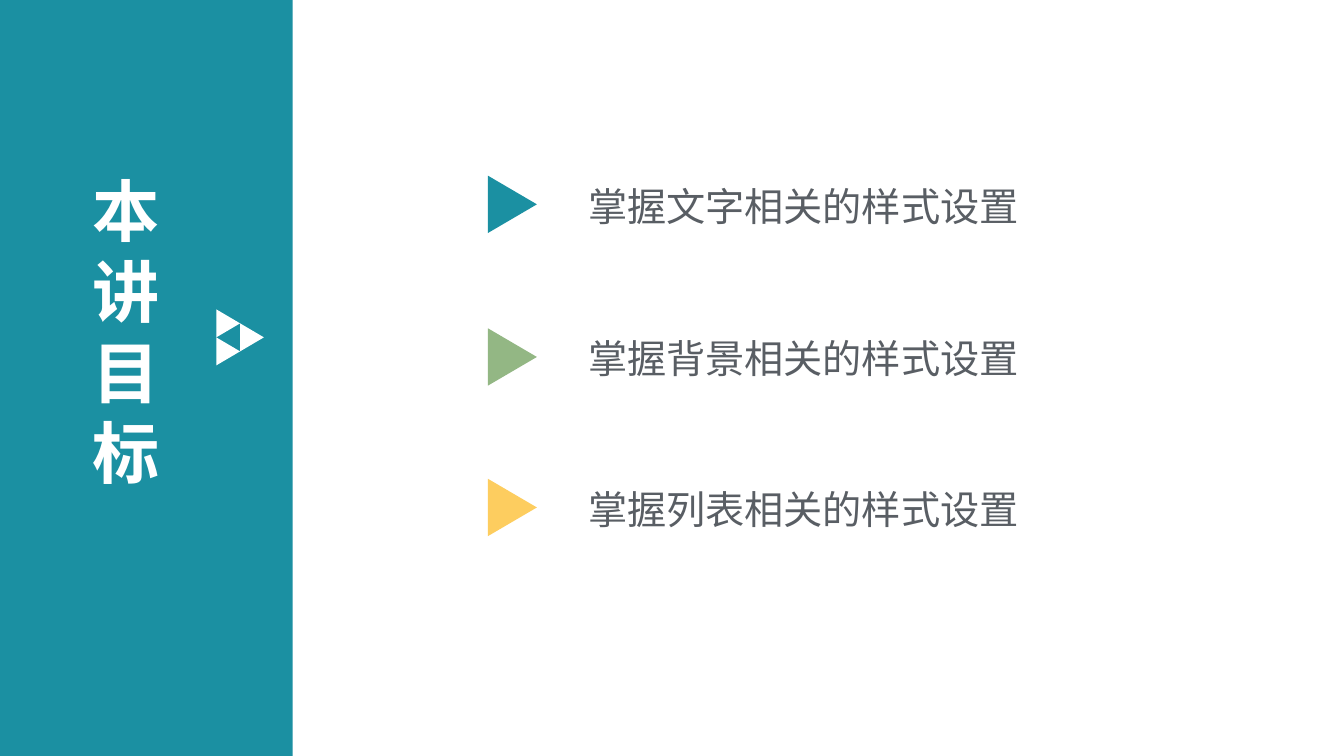
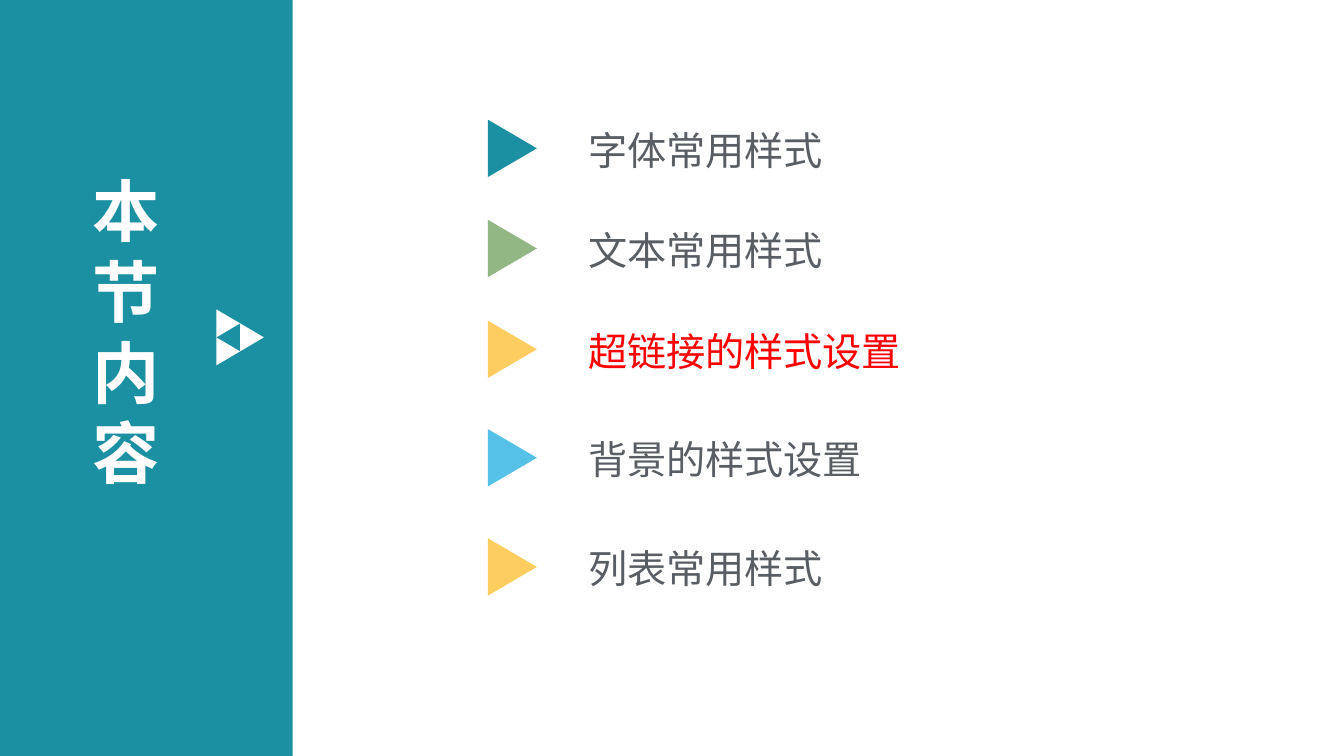
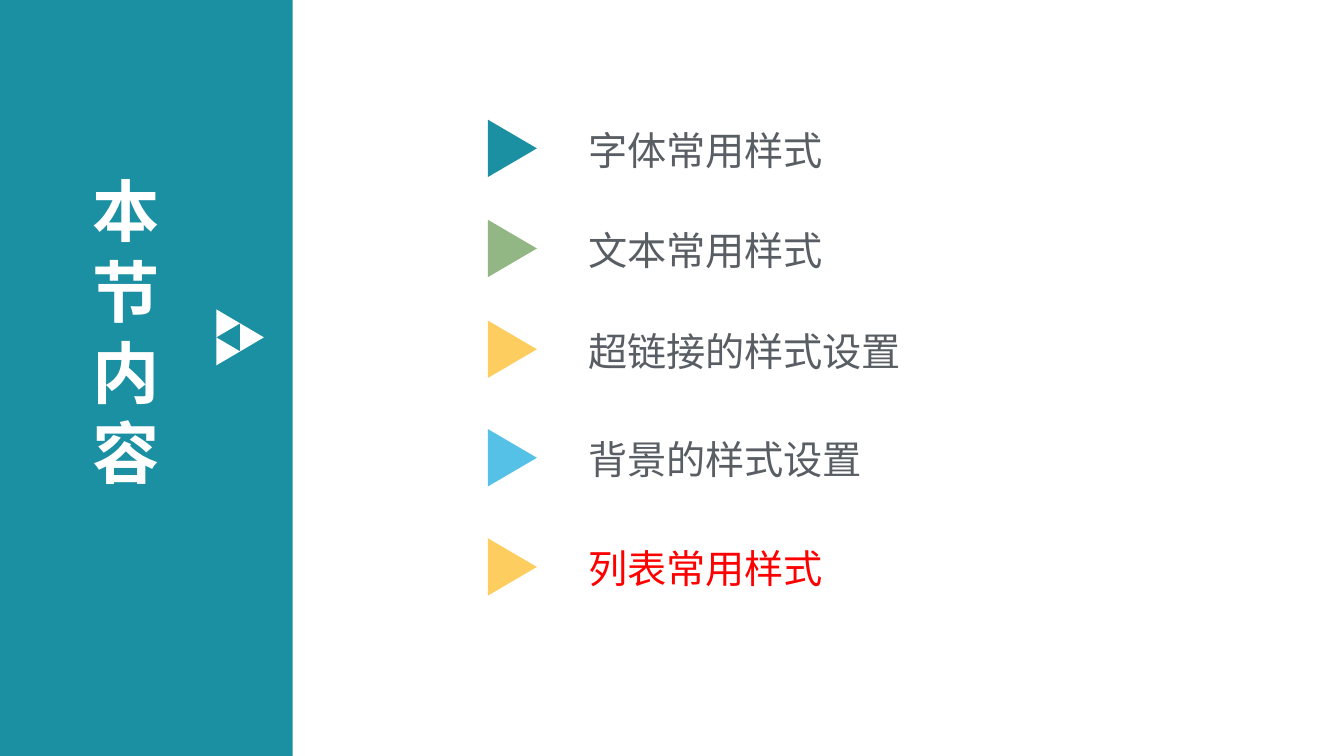
"""Builds three agenda slides with a teal side band and coloured markers."""
from dataclasses import dataclass
from lxml import etree
from pptx import Presentation
from pptx.dml.color import RGBColor
from pptx.enum import shapes, text
from pptx.oxml import ns
from pptx.util import Pt


@dataclass(frozen=True)
class Theme:
    teal: str = "1B90A2"
    green: str = "93B784"
    gold: str = "FDCD5F"
    sky: str = "55C1E7"
    white: str = "FFFFFF"
    grey: str = "595E64"
    red: str = "FF0000"
    font: str = "Noto Sans CJK SC"
    head: int = 48
    item: int = 28
    lead: float = 1.2


theme = Theme()


def draw(page, kind, mid, size, color, turn=0):
    wide, high = size
    shape = page.shapes.add_shape(
        kind, Pt(mid[0] - wide / 2), Pt(mid[1] - high / 2), Pt(wide), Pt(high))
    shape.rotation = turn
    shape.shadow.inherit = False
    shape.fill.solid()
    shape.fill.fore_color.rgb = RGBColor.from_string(color)
    shape.line.fill.background()
    return shape


def style(para, size, color, bold=False, gap=0):
    props = para._p.get_or_add_pPr()
    props.set("marL", "0")
    props.set("indent", "0")
    etree.SubElement(props, ns.qn("a:buNone"))
    para.alignment = text.PP_ALIGN.LEFT
    para.line_spacing = Pt(size * theme.lead)
    para.space_before = Pt(gap)
    para.space_after = Pt(0)
    para.font.size = Pt(size)
    para.font.bold = bold
    para.font.color.rgb = RGBColor.from_string(color)
    para.font.name = theme.font
    east = etree.SubElement(para.font._element, ns.qn("a:ea"))
    east.set("typeface", theme.font)


deck = Presentation()
deck.slide_width, deck.slide_height = Pt(960), Pt(540)
layout = deck.slide_layouts[1]

goals = ["掌握文字相关的样式设置", "掌握背景相关的样式设置", "掌握列表相关的样式设置"]
parts = ["字体常用样式", "文本常用样式", "超链接的样式设置", "背景的样式设置", "列表常用样式"]
three = [146, 255, 362.5]
five = [106, 177.5, 249.5, 327, 405]
warm = [theme.teal, theme.green, theme.gold]
mixed = warm + [theme.sky, theme.gold]
plans = [
    ("本讲目标", goals, three, warm, None),
    ("本节内容", parts, five, mixed, 2),
    ("本节内容", parts, five, mixed, 4),
]
pages = [deck.slides.add_slide(layout) for plan in plans]

arrow = shapes.MSO_SHAPE.ISOSCELES_TRIANGLE
band = draw(pages[0], shapes.MSO_SHAPE.RECTANGLE, (104.5, 270), (209, 540), theme.teal)
marks = [draw(pages[0], arrow, mid, (20, 17), theme.white, 90)
         for mid in [(163, 231), (163, 251), (180, 241)]]
for spot, shape in enumerate([band] + marks):
    shape.element.nvSpPr.cNvPr.set("id", str(20 + spot))
    layout.shapes.element.insert(2 + spot, shape.element)

for page, (name, items, rows, colors, hot) in zip(pages, plans):
    title, body = page.placeholders
    title.left, title.top, title.width, title.height = Pt(59), Pt(117.5), Pt(66), Pt(240)
    body.left, body.top = Pt(411), Pt(rows[0] - 20.5)
    body.width, body.height = Pt(437), Pt(rows[-1] - rows[0] + 42.5)
    for holder, words, side, edge in [(title, name, 7.2, 3.6), (body, "\n".join(items), 9, 4.5)]:
        frame = holder.text_frame
        frame.text = words
        frame.word_wrap = True
        frame.auto_size = text.MSO_AUTO_SIZE.NONE
        frame.vertical_anchor = text.MSO_ANCHOR.TOP
        frame.margin_left = frame.margin_right = Pt(side)
        frame.margin_top = frame.margin_bottom = Pt(edge)
    style(title.text_frame.paragraphs[0], theme.head, theme.white, bold=True)
    for spot, para in enumerate(body.text_frame.paragraphs):
        gap = rows[spot] - rows[spot - 1] - theme.item * theme.lead if spot else 0
        style(para, theme.item, theme.red if spot == hot else theme.grey, gap=gap)
        draw(page, arrow, (366, rows[spot]), (41, 35), colors[spot], 90)

deck.save("out.pptx")
